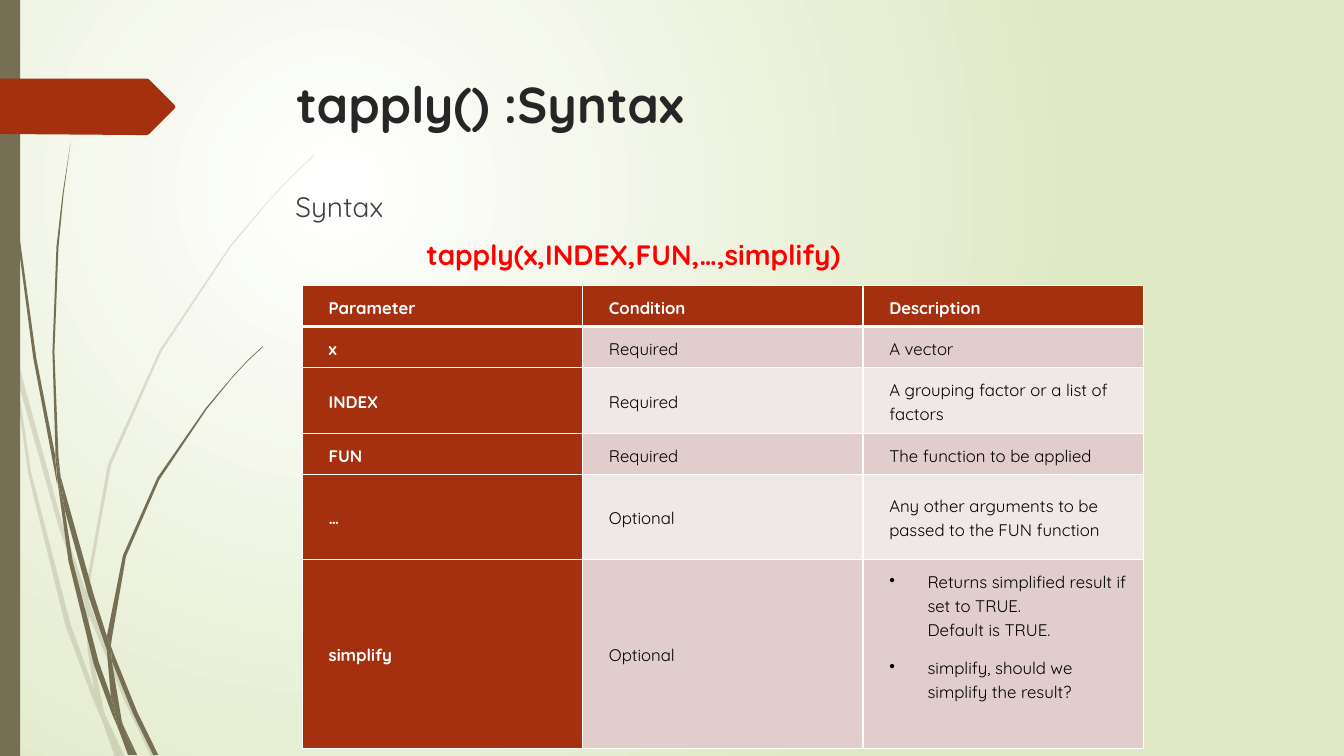
from lxml.etree import SubElement as Sub
from pptx import Presentation
from pptx.dml.color import RGBColor as Rgb
from pptx.enum.shapes import MSO_SHAPE as Shape
from pptx.enum.text import MSO_ANCHOR as Anchor
from pptx.oxml.ns import qn
from pptx.util import Inches, Pt

FONT = "Quicksand"
HUES = {"white": "FFFFFF", "sage": "DFE8C4", "olive": "766F54", "rust": "A53010",
        "title": "262626", "body": "404040", "red": "FF0000", "black": "000000",
        "odd": "E1CDCC", "even": "F0E8E7"}

TITLE = "tapply() :Syntax"
LEAD = "Syntax"
CALL = "tapply(x,INDEX,FUN,…,simplify)"
ROWS = [
    ("Parameter", "Condition", ["Description"]),
    ("x", "Required", ["A vector"]),
    ("INDEX", "Required", ["A grouping factor or a list of factors"]),
    ("FUN", "Required", ["The function to be applied"]),
    ("…", "Optional", ["Any other arguments to be passed to the FUN function"]),
    ("simplify", "Optional", ["Returns simplified result if set to TRUE.\nDefault is TRUE.",
                              "simplify, should we simplify the result?"]),
]
TALL = [0.41, 0.41, 0.65, 0.41, 0.84, 1.88]
WIDE = 2.78

UNIT = 9144
PALE = [
    [(11, 350), (9, 322), (0, 282), (0, 299), (10, 344)],
    [(58, 522), (84, 599), (85, 586), (62, 520), (14, 345), (17, 376)],
    [(92, 607), (88, 596), (88, 610), (123, 694), (150, 751), (155, 751), (127, 692)],
    [(119, 751), (124, 751), (105, 711)],
    [(93, 683), (70, 619), (31, 469), (17, 376), (11, 350), (28, 470), (65, 621),
     (92, 693), (101, 714), (99, 707)],
    [(84, 599), (87, 646), (93, 683), (96, 692), (105, 711), (103, 706), (91, 646),
     (88, 610), (88, 608)],
    [(88, 584), (110, 462), (160, 349), (229, 245), (268, 198), (290, 175), (312, 154),
     (312, 153), (289, 175), (268, 197), (228, 244), (158, 348), (107, 461), (85, 584),
     (85, 586), (88, 596)],
    [(101, 714), (114, 751), (119, 751)],
    [(88, 608), (88, 610), (88, 596), (85, 586), (84, 599)],
    [(96, 692), (93, 683), (99, 707), (101, 714), (119, 751), (105, 711)],
]
DARK = [
    [(7, 110), (17, 233), (33, 355), (56, 477), (57, 481), (55, 457), (55, 453),
     (36, 355), (19, 232), (8, 109), (5, 48), (4, 0), (3, 0), (4, 48)],
    [(88, 592), (106, 645), (106, 633), (106, 631), (93, 590), (60, 472), (64, 505)],
    [(113, 649), (110, 641), (111, 656), (132, 708), (152, 749), (157, 749), (136, 706)],
    [(110, 691), (98, 657), (72, 556), (64, 505), (57, 477), (68, 557), (93, 659),
     (111, 708), (117, 722), (116, 717)],
    [(60, 472), (58, 453), (54, 349), (58, 245), (63, 193), (70, 141), (62, 193),
     (56, 245), (52, 349), (55, 449)],
    [(133, 749), (136, 749), (122, 719)],
    [(57, 477), (64, 505), (60, 472), (55, 449), (55, 453)],
    [(111, 633), (125, 552), (158, 476), (205, 406), (231, 374), (245, 359), (261, 344),
     (260, 344), (245, 358), (231, 373), (204, 405), (156, 474), (122, 551), (106, 631),
     (110, 641)],
    [(117, 722), (127, 749), (131, 749)],
    [(106, 645), (110, 691), (116, 706), (122, 719), (121, 716), (111, 656), (109, 651)],
    [(106, 645), (109, 651), (111, 656), (110, 641), (106, 631), (106, 633)],
    [(116, 706), (110, 691), (116, 717), (117, 722), (130, 749), (133, 749), (122, 719)],
]
FLAG = [(173, 108), (148, 133), (146, 134), (136, 134), (0, 133), (0, 78), (136, 78),
        (146, 78), (148, 79), (173, 104), (174, 106)]


def hue(name):
    return Rgb.from_string(HUES[name])


def paint(shape, name):
    shape.shadow.inherit = False
    shape.fill.solid()
    shape.fill.fore_color.rgb = hue(name)
    shape.line.fill.background()


def trace(knots, name, alpha=None):
    pen = slide.shapes.build_freeform(*knots[0], scale=UNIT)
    pen.add_line_segments(knots[1:], close=True)
    shape = pen.convert_to_shape()
    paint(shape, name)
    if alpha:
        tint = shape.fill._xPr.find(".//" + qn("a:srgbClr"))
        Sub(tint, qn("a:alpha"), val=str(alpha * 1000))


def write(para, text, size, name, bold=False):
    for at, part in enumerate(text.split("\n")):
        if at:
            para.add_line_break()
        run = para.add_run()
        run.text = part
        run.font.name = FONT
        run.font.size = Pt(size)
        run.font.bold = bold
        run.font.color.rgb = hue(name)


def frame(left, top, wide, tall):
    box = slide.shapes.add_textbox(Inches(left), Inches(top), Inches(wide), Inches(tall))
    box.text_frame.word_wrap = True
    return box.text_frame


def indent(para, left, first=0):
    props = para._p.get_or_add_pPr()
    props.set("marL", str(Inches(left)))
    props.set("indent", str(Inches(first)))
    return props


def edge(cell, head):
    props = cell._tc.get_or_add_tcPr()
    for at, side in enumerate("LRTB"):
        width = 3 if head and side == "B" else 1
        line = Sub(props, qn("a:ln" + side), w=str(Pt(width)))
        Sub(Sub(line, qn("a:solidFill")), qn("a:srgbClr"), val=HUES["white"])
        props.insert(at, line)


def fill_cell(cell, paras, row, col):
    strong = row == 0 or col == 0
    shade = "rust" if strong else "odd" if row % 2 else "even"
    cell.fill.solid()
    cell.fill.fore_color.rgb = hue(shade)
    edge(cell, row == 0)
    cell.vertical_anchor = Anchor.MIDDLE
    cell.margin_left = Inches(0.26)
    cell.margin_right = cell.margin_top = Inches(0.09)
    cell.margin_bottom = Inches(0.47 if len(paras) > 1 else 0.09)
    for at, text in enumerate(paras):
        para = cell.text_frame.add_paragraph() if at else cell.text_frame.paragraphs[0]
        para.line_spacing = 1.15
        if len(paras) > 1:
            para.space_after = Pt(10)
            Sub(indent(para, 0.38, -0.38), qn("a:buChar"), char="•")
        write(para, text, 12, "white" if strong else "black", strong)


deck = Presentation()
deck.slide_width, deck.slide_height = Inches(13.33), Inches(7.5)
slide = deck.slides.add_slide(deck.slide_layouts[6])

back = slide.background.fill
back.gradient()
for stop, name in zip(back.gradient_stops, ("white", "sage")):
    stop.color.rgb = hue(name)
grad = slide.element.find(".//" + qn("a:gradFill"))
grad.remove(grad.find(qn("a:lin")))
Sub(Sub(grad, qn("a:path"), path="circle"), qn("a:fillToRect"),
    l="50000", t="50000", r="100000", b="100000")

for knots in PALE:
    trace(knots, "olive", 20)
for knots in DARK:
    trace(knots, "olive")
bar = slide.shapes.add_shape(Shape.RECTANGLE, 0, 0, Inches(0.2), deck.slide_height)
paint(bar, "olive")
trace(FLAG, "rust")

write(frame(2.84, 0.68, 9.75, 1.4).paragraphs[0], TITLE, 36, "title", True)
body = frame(2.83, 1.83, 9.75, 4.63)
write(body.paragraphs[0], LEAD, 20, "body")
call = body.add_paragraph()
call.space_before = Pt(10)
indent(call, 1.3)
write(call, CALL, 20, "red", True)

grid = slide.shapes.add_table(len(ROWS), 3, Inches(3), Inches(2.83),
                              Inches(3 * WIDE), Inches(sum(TALL))).table
grid.horz_banding = False
for col in grid.columns:
    col.width = Inches(WIDE)
for row, (name, need, notes) in enumerate(ROWS):
    grid.rows[row].height = Inches(TALL[row])
    for col, paras in enumerate(([name], [need], notes)):
        fill_cell(grid.cell(row, col), paras, row, col)

deck.save("out.pptx")
